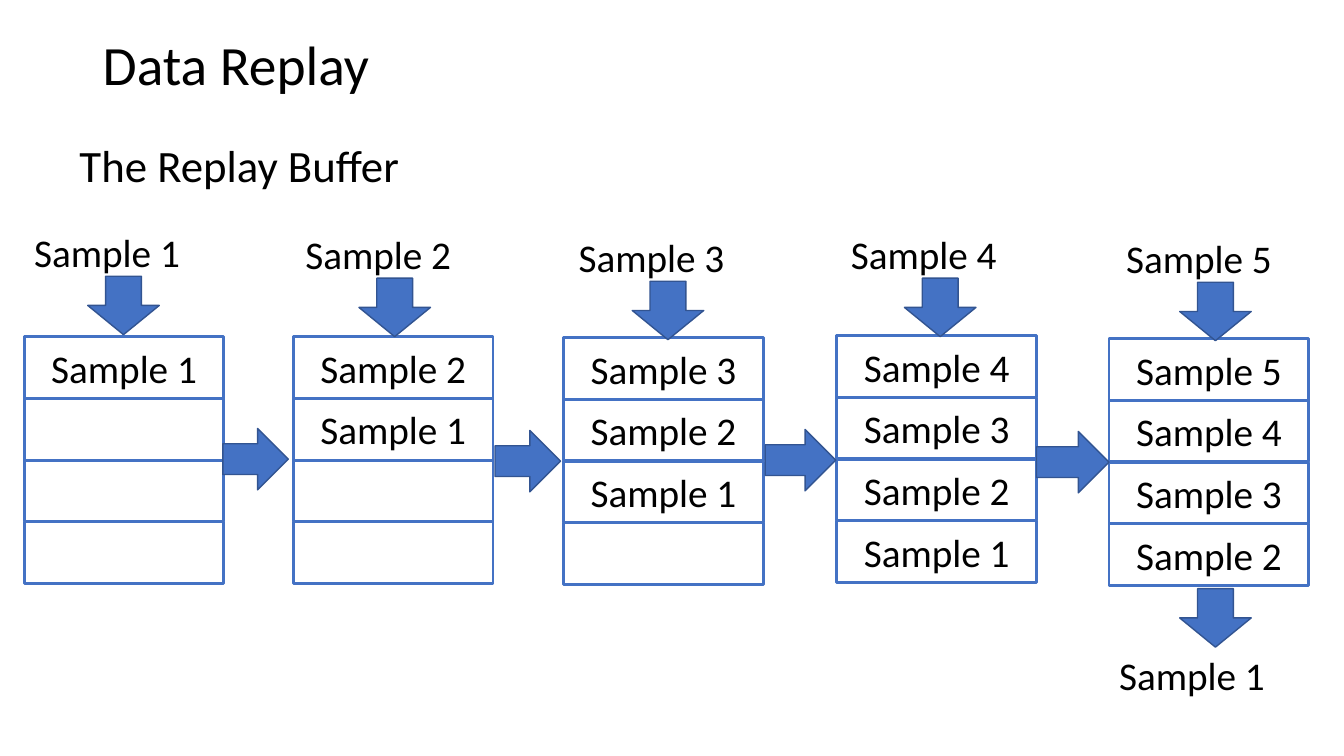
from pptx import Presentation
from pptx import util as u
from pptx.dml.color import RGBColor
from pptx.enum import shapes, text

COLORS = {"text": "000000", "blue": "4472C4", "edge": "325491"}
CAPACITY = 4
CELL_WIDTH, CELL_HEIGHT, ROW_PITCH = 1.98, 0.61, 0.613
DOWN_WIDTH, DOWN_HEIGHT = 0.71, 0.58


class ReplaySlide:
    font_name = "Calibri"
    sample_size = 28

    def __init__(self, deck):
        self.slide = deck.slides.add_slide(deck.slide_layouts[6])

    def color(self, name):
        return RGBColor.from_string(COLORS[name])

    def box(self, left, top, width, height):
        return [u.Inches(length) for length in (left, top, width, height)]

    def wording(self, frame, words, size):
        paragraph = frame.paragraphs[0]
        paragraph.text = words
        paragraph.font.name = self.font_name
        paragraph.font.size = u.Pt(size)
        paragraph.font.color.rgb = self.color("text")
        return paragraph

    def label(self, words, left, top, width=CELL_WIDTH, height=0.57,
              size=sample_size, anchor=text.MSO_ANCHOR.TOP):
        frame = self.slide.shapes.add_textbox(*self.box(left, top, width, height)).text_frame
        frame.word_wrap = True
        frame.vertical_anchor = anchor
        return self.wording(frame, words, size)

    def heading(self, words, left, top, size, anchor):
        self.label(words, left, top, 11.5, 0.61, size, anchor).line_spacing = 0.9

    def outline(self, kind, place, line, weight):
        shape = self.slide.shapes.add_shape(kind, *self.box(*place))
        shape.shadow.inherit = False
        shape.line.color.rgb = self.color(line)
        shape.line.width = u.Pt(weight)
        return shape

    def cell(self, words, left, top):
        place = (left, top, CELL_WIDTH, CELL_HEIGHT)
        slot = self.outline(shapes.MSO_SHAPE.RECTANGLE, place, "blue", 2)
        slot.fill.background()
        if words:
            slot.text_frame.vertical_anchor = text.MSO_ANCHOR.MIDDLE
            paragraph = self.wording(slot.text_frame, words, self.sample_size)
            paragraph.alignment = text.PP_ALIGN.CENTER

    def arrow(self, kind, left, top, width, height):
        block = self.outline(kind, (left, top, width, height), "edge", 1)
        block.fill.solid()
        block.fill.fore_color.rgb = self.color("blue")

    def down_arrow(self, left, top):
        self.arrow(shapes.MSO_SHAPE.DOWN_ARROW, left, top, DOWN_WIDTH, DOWN_HEIGHT)

    def right_arrow(self, left, top, width):
        self.arrow(shapes.MSO_SHAPE.RIGHT_ARROW, left, top, width, CELL_HEIGHT)

    def buffer(self, newest, left, top):
        for row in range(CAPACITY):
            sample = newest - row
            self.cell(f"Sample {sample}" if sample > 0 else "", left, top + row * ROW_PITCH)

    def incoming(self, sample, left, top):
        self.label(f"Sample {sample}", left, top)
        self.down_arrow(left + 0.63, top + 0.52)


def main():
    deck = Presentation()
    deck.slide_width, deck.slide_height = u.Inches(13.33), u.Inches(7.5)
    replay = ReplaySlide(deck)

    replay.heading("Data Replay", 0.92, 0.36, 39.6, text.MSO_ANCHOR.MIDDLE)
    replay.heading("The Replay Buffer", 0.69, 1.38, 32, text.MSO_ANCHOR.TOP)

    buffers = [(0.24, 3.34), (2.91, 3.34), (5.59, 3.35), (8.3, 3.33), (11, 3.36)]
    arrivals = [(0.24, 2.22), (2.93, 2.24), (5.64, 2.27), (8.34, 2.24), (11.07, 2.28)]
    for sample, (stack, arrival) in enumerate(zip(buffers, arrivals), start=1):
        replay.buffer(sample, *stack)
        replay.incoming(sample, *arrival)

    replay.label("Sample 1", 11, 6.41)
    replay.down_arrow(11.7, 5.84)

    steps = [(2.21, 4.25, 0.65), (4.91, 4.27, 0.65), (7.59, 4.26, 0.7), (10.28, 4.28, 0.72)]
    for step in steps:
        replay.right_arrow(*step)

    deck.save("out.pptx")


if __name__ == "__main__":
    main()
